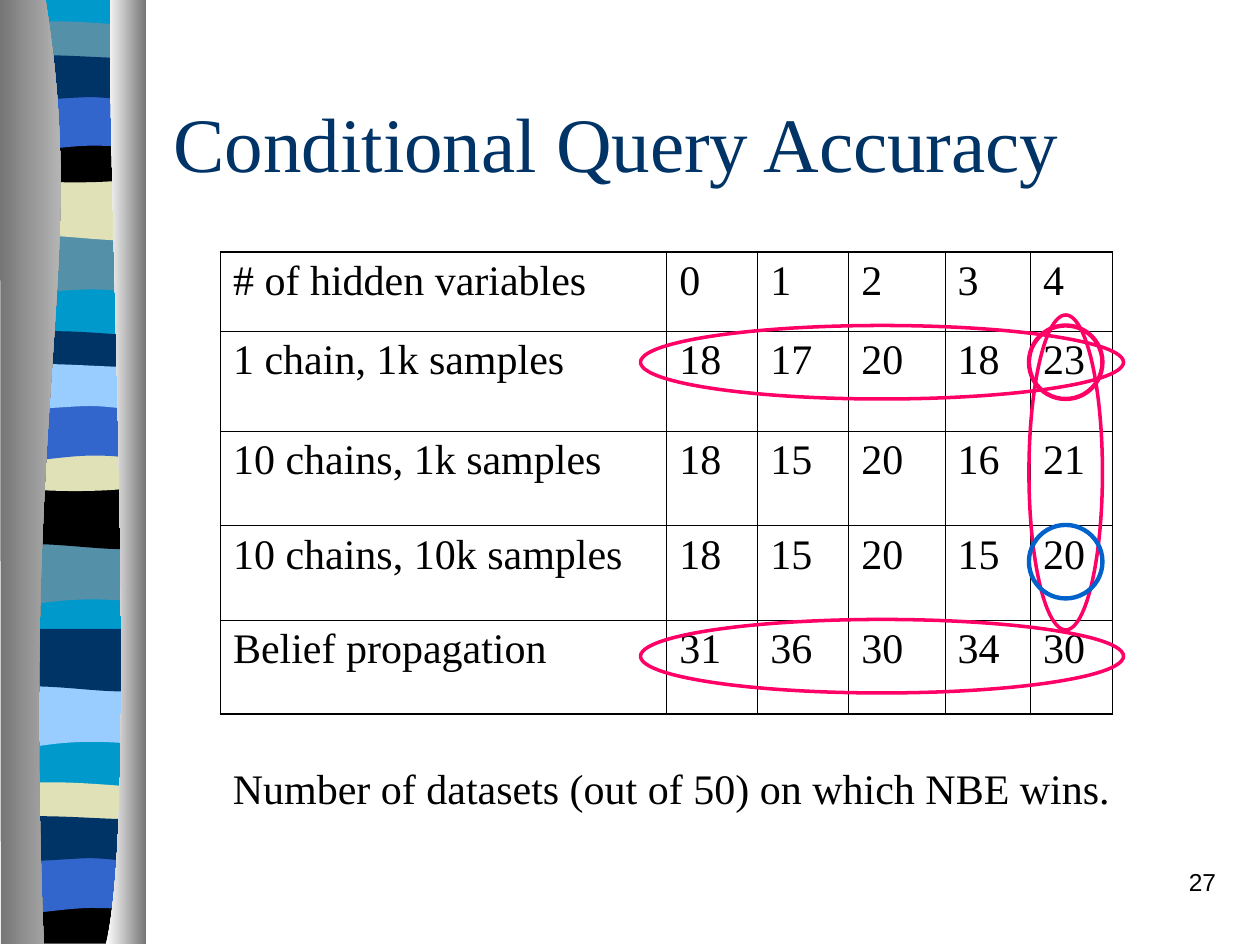
import lxml.etree
import pptx
import pptx.dml.color
import pptx.enum.shapes
import pptx.enum.text
import pptx.oxml.ns
import pptx.util

Pt = pptx.util.Pt
qn = pptx.oxml.ns.qn
SERIF = "Times New Roman"
BLACK, NAVY, PINK, BLUE = "000000", "003366", "FF0066", "0262CC"
TEAL, SAND, ROYAL, SKY, CYAN = "5490A8", "E1E1B7", "3366CC", "99CCFF", "0099CC"

# Each outline is a list of points (2 numbers) and cubic curves (6 numbers).
PLAIN = [(78, 0), (78, 538.5), (0, 538.5), (0, 0)]
SLOPE = [(78, 0), (78, 34), (24, 28, 13, 39.6, 0, 34), (0, 0)]
SWELL = [(78, 0), (78, 34), (65, 39.6, 24, 29.8, 0, 34), (0, 0)]
RIBBON = [(78, 3.6), (78, 21), (65, 24, 13, 24, 0, 21), (0, 3.6),
          (4.5, 0, 16.5, 0.7, 29.5, 0.7), (42.5, 0.7, 68, 2.9, 78, 3.6)]
BOWL = [(78, 0), (78, 23.3), (65, 27.4, 13, 27.4, 0, 23.3), (0, 0),
        (47.5, 3.6, 61, 0, 78, 0)]
BASE = [(78, 0), (78, 26.6), (0, 26.6), (0, 0), (47.5, 3.6, 61, 0, 78, 0)]
ARCH = [(78, 0), (78, 34), (65.5, 30, 60.5, 30, 47.5, 30),
        (34.5, 30, 11.5, 34, 0, 34), (0, 0)]
WAVE = [(78, 3.6), (78, 26), (73, 29.5, 60.5, 26, 47.5, 26),
        (34.5, 26, 8, 29.5, 0, 26), (0, 3.6), (11, 0, 52.5, 3.6, 65.5, 3.6),
        (78, 3.6)]
LEFT_PILLAR = [(26, 0), (51, 156, 12, 213, 25, 539.5), (0.5, 539.5), (0, 0)]
RIGHT_PILLAR = [(63.2, 0), (60.5, 90, 80, 465, 60.5, 539.5),
                (83.5, 539.5), (83.5, 0)]

BANDS = [
    (PLAIN, 0, CYAN), (SLOPE, 133.2, TEAL), (SWELL, 101.5, SAND),
    (RIBBON, 11.5, TEAL), (BOWL, 77.8, BLACK), (ARCH, 53.3, ROYAL),
    (WAVE, 29.5, NAVY), (SLOPE, 310.3, TEAL), (SWELL, 278, BLACK),
    (RIBBON, 188.6, NAVY), (BOWL, 254.2, SAND), (ARCH, 230.4, ROYAL),
    (WAVE, 206, SKY), (SLOPE, 391.7, SKY), (SWELL, 359.3, NAVY),
    (RIBBON, 446.4, SAND), (BASE, 512.6, BLACK), (ARCH, 488.9, ROYAL),
    (WAVE, 464.4, NAVY),
]
ROWS = [
    ("# of hidden variables", 0, 1, 2, 3, 4),
    ("1 chain, 1k samples", 18, 17, 20, 18, 23),
    ("10 chains, 1k samples", 18, 15, 20, 16, 21),
    ("10 chains, 10k samples", 18, 15, 20, 15, 20),
    ("Belief propagation", 31, 36, 30, 34, 30),
]
COLUMN_WIDTHS = [255, 52, 52, 55, 49, 46.8]
ROW_HEIGHTS = [45.1, 57.2, 54.2, 53.8, 53.6]
RINGS = [
    ((366, 354, 276, 42), PINK, 2), ((366, 186, 276, 42), PINK, 2),
    ((588, 180, 42, 180), PINK, 2), ((588, 186, 42, 42), PINK, 2.5),
    ((588, 300, 42, 42), BLUE, 2.5),
]


def color(value):
    return pptx.dml.color.RGBColor.from_string(value)


def points(box):
    return [Pt(length) for length in box]


def style(para, size, font=SERIF, ink=BLACK):
    para.font.size = Pt(size)
    para.font.name = font
    para.font.bold = False
    para.font.color.rgb = color(ink)


def bend_curves(shape, outline):
    segments = iter(list(shape._element.iter(qn("a:lnTo"))))
    for step in outline[1:]:
        segment = next(segments)
        if len(step) == 6:
            segment.tag = qn("a:cubicBezTo")
            for extra in (next(segments), next(segments)):
                segment.append(extra[0])
                extra.getparent().remove(extra)


def add_outline(group, outline, left, top):
    corners = [((left + step[i]) * 100, (top + step[i + 1]) * 100)
               for step in outline for i in range(0, len(step), 2)]
    builder = group.shapes.build_freeform(*corners[0], scale=Pt(1) / 100)
    builder.add_line_segments(corners[1:], close=True)
    shape = builder.convert_to_shape()
    bend_curves(shape, outline)
    shape.shadow.inherit = False
    shape.line.fill.background()
    return shape


def add_border_art(page, left, top):
    group = page.shapes.add_group_shape()
    for outline, offset, fill in BANDS:
        band = add_outline(group, outline, left + 4, top + offset)
        band.fill.solid()
        band.fill.fore_color.rgb = color(fill)
    for outline, shades in ((LEFT_PILLAR, ("767676", "D3D3D3")),
                            (RIGHT_PILLAR, ("FFFFFF", "767676"))):
        pillar = add_outline(group, outline, left, top)
        pillar.fill.gradient()
        pillar.fill.gradient_angle = 0
        for stop, shade in zip(pillar.fill.gradient_stops, shades):
            stop.color.rgb = color(shade)


def add_title(page, box, text):
    title = page.shapes.title
    title.left, title.top, title.width, title.height = points(box)
    title.text_frame.text = text
    title.text_frame.vertical_anchor = pptx.enum.text.MSO_ANCHOR.MIDDLE
    para = title.text_frame.paragraphs[0]
    para.alignment = pptx.enum.text.PP_ALIGN.LEFT
    style(para, 44, ink=NAVY)


def add_text(page, box, text, size, font, wrap):
    frame = page.shapes.add_textbox(*points(box)).text_frame
    frame.word_wrap = wrap
    frame.text = text
    para = frame.paragraphs[0]
    style(para, size, font)
    return para


def add_cell_borders(cell, widths):
    properties = cell._tc.get_or_add_tcPr()
    for index, (side, width) in enumerate(widths.items()):
        line = lxml.etree.Element(qn("a:ln" + side), w=str(int(Pt(width))))
        fill = lxml.etree.SubElement(line, qn("a:solidFill"))
        lxml.etree.SubElement(fill, qn("a:srgbClr"), val=BLACK)
        properties.insert(index, line)


def add_results(page, box):
    last_row, last_column = len(ROWS) - 1, len(COLUMN_WIDTHS) - 1
    table = page.shapes.add_table(len(ROWS), len(COLUMN_WIDTHS), *points(box)).table
    table.first_row = table.horz_banding = False
    for column, width in zip(table.columns, COLUMN_WIDTHS):
        column.width = Pt(width)
    for r, (row, height) in enumerate(zip(table.rows, ROW_HEIGHTS)):
        row.height = Pt(height)
        for c, cell in enumerate(row.cells):
            cell.text = str(ROWS[r][c])
            cell.fill.background()
            para = cell.text_frame.paragraphs[0]
            para.space_before = Pt(6)
            style(para, 24)
            outer = {"L": c == 0, "R": c == last_column,
                     "T": r == 0, "B": r == last_row}
            add_cell_borders(cell, {side: 1.08 if edge else 0.45
                                    for side, edge in outer.items()})


def add_ring(page, box, ink, width):
    ring = page.shapes.add_shape(pptx.enum.shapes.MSO_SHAPE.OVAL, *points(box))
    ring.shadow.inherit = False
    ring.fill.background()
    ring.line.color.rgb = color(ink)
    ring.line.width = Pt(width)


def main():
    deck = pptx.Presentation()
    deck.slide_width, deck.slide_height = Pt(720), Pt(540)
    page = deck.slides.add_slide(deck.slide_layouts[5])
    add_border_art(page, 0, 0)
    add_title(page, (92, 36, 612, 90), "Conditional Query Accuracy")
    add_text(page, (126, 432, 515.5, 36),
             "Number of datasets (out of 50) on which NBE wins.", 24, SERIF, False)
    add_results(page, (126, 144, sum(COLUMN_WIDTHS), sum(ROW_HEIGHTS)))
    for ring in RINGS:
        add_ring(page, *ring)
    number = add_text(page, (552, 492, 150, 36), "27", 14, "Arial", True)
    number.alignment = pptx.enum.text.PP_ALIGN.RIGHT
    number.space_before = Pt(8.8)
    deck.save("out.pptx")


if __name__ == "__main__":
    main()
